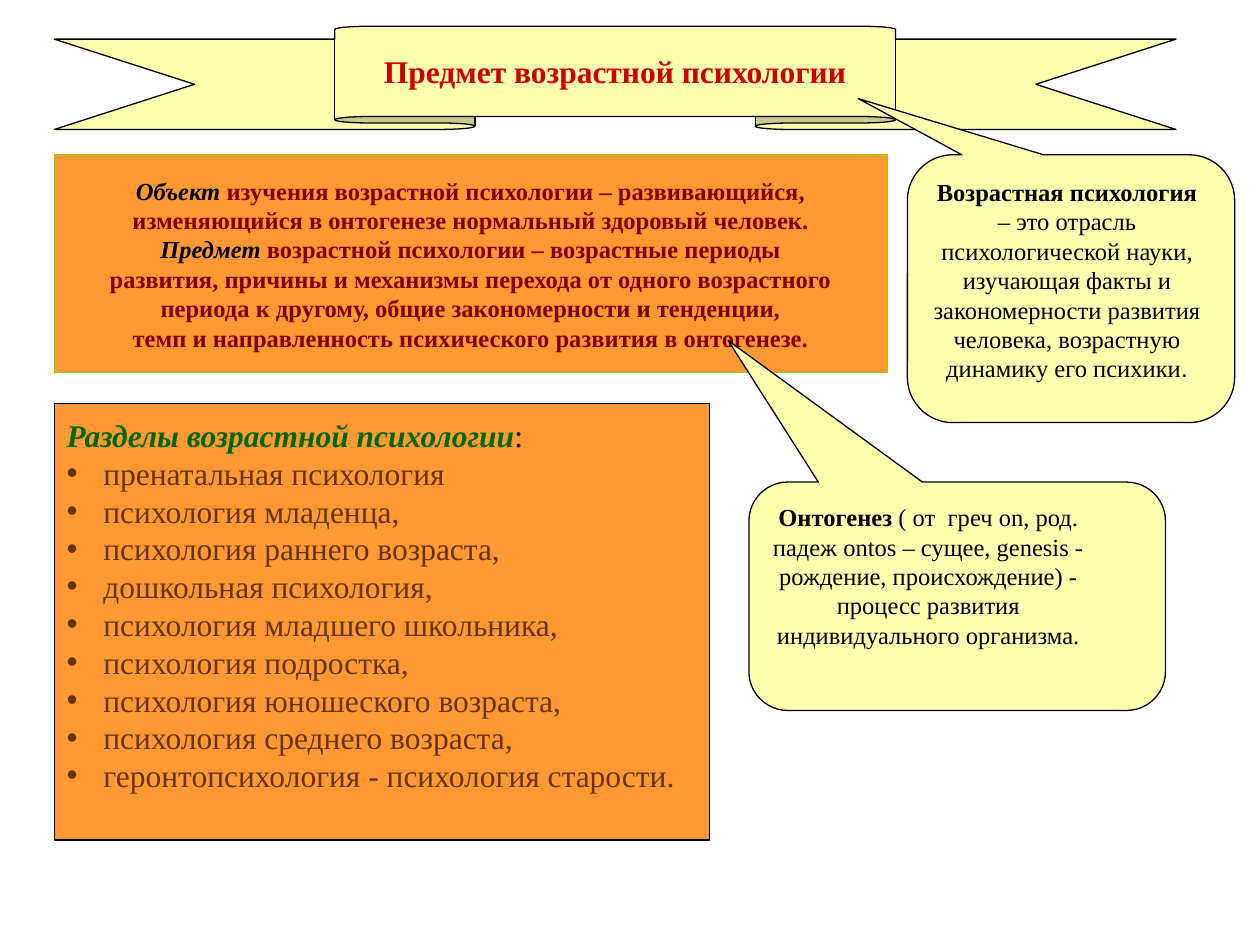
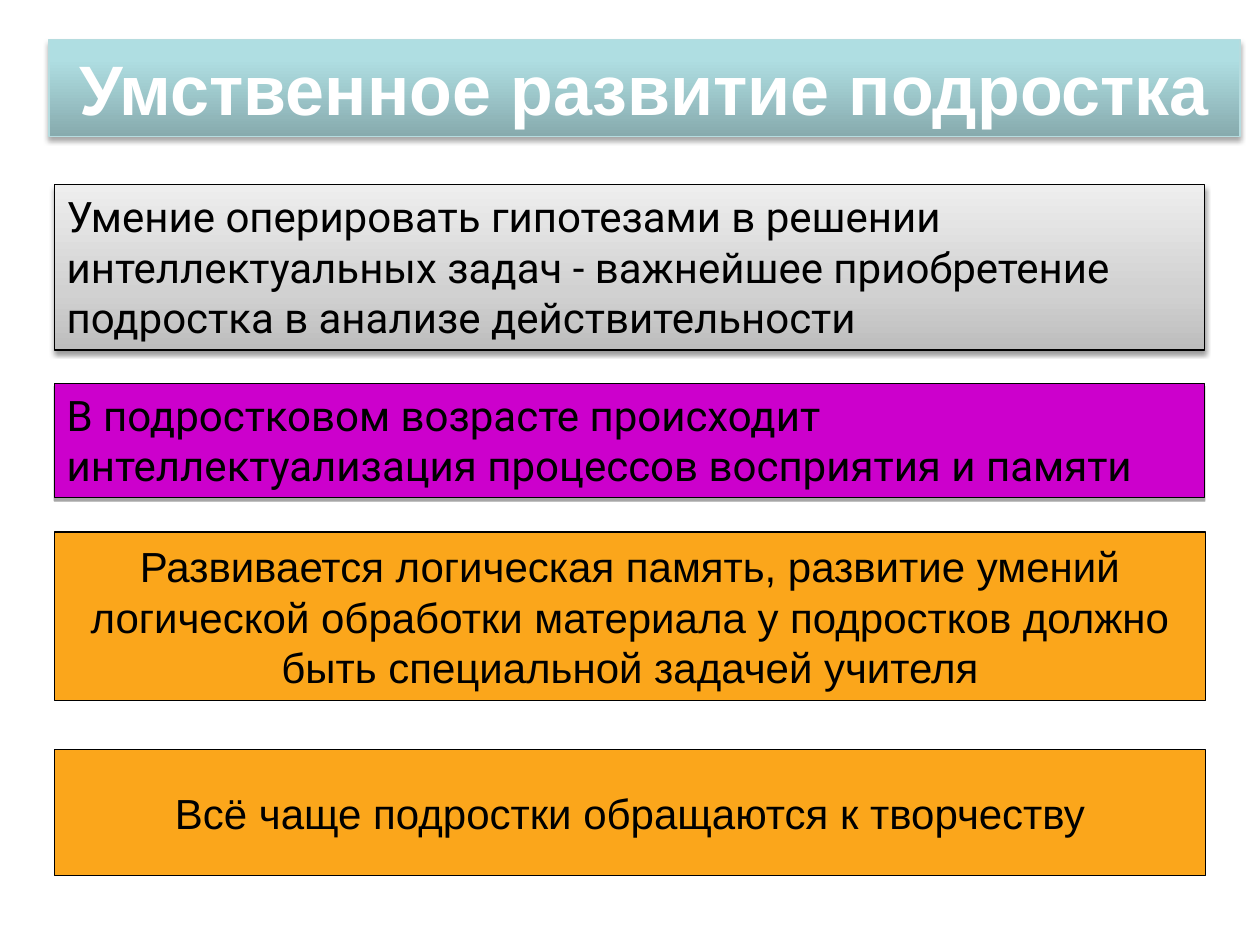
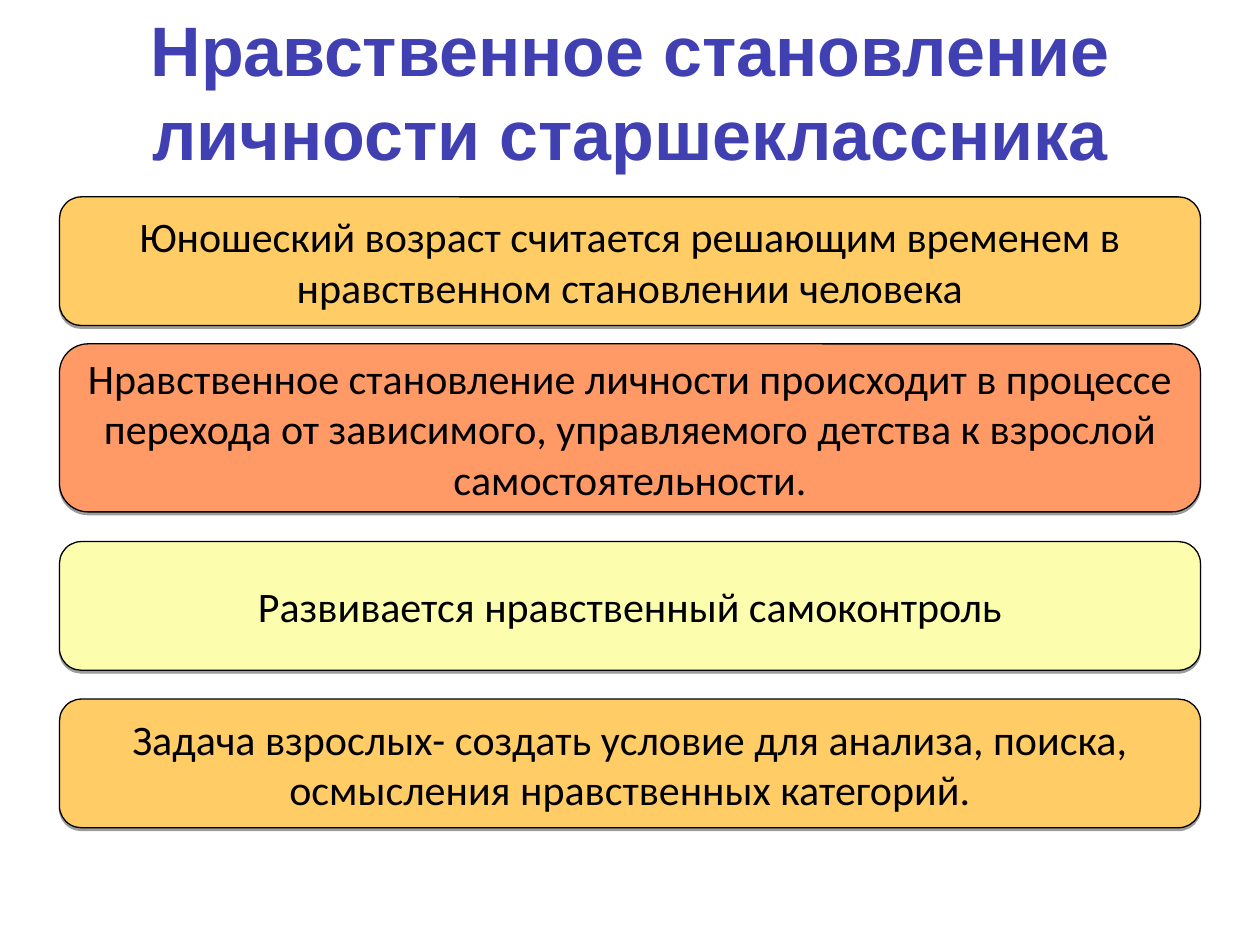
from lxml import etree
from pptx import Presentation
from pptx.dml.color import RGBColor
from pptx.enum import shapes, text
from pptx.oxml import ns
from pptx.util import Pt

BLACK = RGBColor(0x00, 0x00, 0x00)
WHITE = RGBColor(0xFF, 0xFF, 0xFF)
CREAM = RGBColor(0xFC, 0xFE, 0xAE)
ORANGE = RGBColor(0xFF, 0x99, 0x33)
AMBER = RGBColor(0xFB, 0xA6, 0x1B)
SAND = RGBColor(0xFF, 0xCC, 0x66)
CORAL = RGBColor(0xFF, 0x99, 0x66)
PURPLE = RGBColor(0xCC, 0x00, 0xCC)
LIME = RGBColor(0x99, 0xCC, 0x00)
RED = RGBColor(0xCC, 0x00, 0x00)
MAROON = RGBColor(0x80, 0x00, 0x00)
GREEN = RGBColor(0x00, 0x66, 0x00)
BROWN = RGBColor(0x66, 0x33, 0x00)
INDIGO = RGBColor(0x40, 0x40, 0xB3)
PALE_TEAL = RGBColor(0xB6, 0xDC, 0xDF)
TEAL_STOPS = [(0, RGBColor(0x87, 0xAB, 0xAE)), (80, RGBColor(0xAF, 0xDE, 0xE2)),
              (100, RGBColor(0xAF, 0xE0, 0xE4))]
GRAY_STOPS = [(0, RGBColor(0xBD, 0xBD, 0xBD)), (35, RGBColor(0xD1, 0xD1, 0xD1)),
              (100, RGBColor(0xEE, 0xEE, 0xEE))]

SHAPE = shapes.MSO_SHAPE
CENTER, LEFT = text.PP_ALIGN.CENTER, text.PP_ALIGN.LEFT
TOP, MIDDLE = text.MSO_ANCHOR.TOP, text.MSO_ANCHOR.MIDDLE

SERIF = {"name": "Times New Roman", "size": Pt(14), "bold": False, "italic": False}
SERIF_LARGE = SERIF | {"size": Pt(18)}
TITLE = {"name": "Arial", "size": Pt(40), "bold": True}
BODY = {"name": "Arial", "size": Pt(24)}
STRONG = {"bold": True}
TERM = {"bold": True, "italic": True}


def add_child(parent, tag, **attributes):
    values = {key: str(value) for key, value in attributes.items()}
    return etree.SubElement(parent, ns.qn(tag), values)


class Deck:
    def __init__(self):
        self.presentation = Presentation()
        self.presentation.slide_width, self.presentation.slide_height = Pt(720), Pt(540)
        self.slide = None

    def add_slide(self):
        self.slide = self.presentation.slides.add_slide(self.presentation.slide_layouts[6])

    def set_text(self, shape, paragraphs, font, align=CENTER, anchor=MIDDLE, wrap=True,
                 margins=(7.2, 3.6, 7.2, 3.6), bullets_from=None):
        frame = shape.text_frame
        left, top, right, bottom = map(Pt, margins)
        settings = {"word_wrap": wrap, "vertical_anchor": anchor, "margin_left": left,
                    "margin_top": top, "margin_right": right, "margin_bottom": bottom}
        for key, value in settings.items():
            setattr(frame, key, value)
        for index, runs in enumerate(paragraphs):
            paragraph = frame.add_paragraph() if index else frame.paragraphs[0]
            paragraph.alignment = align
            if bullets_from is not None and index >= bullets_from:
                self.bullet(paragraph)
            for content, color, changes in runs:
                run = paragraph.add_run()
                run.text = content
                for key, value in (font | changes).items():
                    setattr(run.font, key, value)
                run.font.color.rgb = color

    def bullet(self, paragraph):
        properties = paragraph._p.get_or_add_pPr()
        properties.set("marL", str(Pt(21)))
        properties.set("indent", str(-Pt(21)))
        add_child(properties, "a:buFont", typeface="Arial")
        add_child(properties, "a:buChar", char="•")

    def gradient(self, shape, stops):
        shape.fill.gradient()
        gradient = shape._element.spPr.find(ns.qn("a:gradFill"))
        for child in list(gradient):
            gradient.remove(child)
        stop_list = add_child(gradient, "a:gsLst")
        for position, color in stops:
            stop = add_child(stop_list, "a:gs", pos=position * 1000)
            add_child(stop, "a:srgbClr", val=color)
        add_child(gradient, "a:lin", ang=270 * 60000, scaled=0)

    def shadow(self, shape, opacity, blur, distance):
        effects = shape._element.spPr.find(ns.qn("a:effectLst"))
        outer = add_child(effects, "a:outerShdw", blurRad=Pt(blur), dist=Pt(distance),
                          dir=90 * 60000, rotWithShape=0)
        color = add_child(outer, "a:srgbClr", val=BLACK)
        add_child(color, "a:alpha", val=opacity * 1000)

    def box(self, kind, place, fill, paragraphs, font, line=BLACK, adjustments=(),
            shadow=None, **layout):
        shape = self.slide.shapes.add_shape(kind, *map(Pt, place))
        for index, value in enumerate(adjustments):
            shape.adjustments[index] = value
        if isinstance(fill, list):
            self.gradient(shape, fill)
        else:
            shape.fill.solid()
            shape.fill.fore_color.rgb = fill
        shape.line.color.rgb = line
        shape.line.width = Pt(0.75)
        shape.shadow.inherit = False
        if shadow:
            self.shadow(shape, *shadow)
        self.set_text(shape, paragraphs, font, **layout)

    def callout(self, place, tail, runs, margins):
        self.box(SHAPE.ROUNDED_RECTANGULAR_CALLOUT, place, CREAM, [runs], SERIF,
                 adjustments=(*tail, 0.17), anchor=TOP, margins=margins)

    def heading(self, place, content, color):
        shape = self.slide.shapes.add_textbox(*map(Pt, place))
        self.set_text(shape, [[(content, color, {})]], TITLE, anchor=TOP)


def plain(*lines, color=BLACK):
    return [[(line, color, {})] for line in lines]


def subject_slide(deck):
    deck.add_slide()
    deck.box(SHAPE.UP_RIBBON, (31, 15, 641, 59), CREAM,
             plain("Предмет возрастной психологии", color=RED), SERIF_LARGE | STRONG,
             adjustments=(0.125, 0.5), wrap=False)
    definitions = [
        [("Объект ", BLACK, TERM),
         ("изучения возрастной психологии – развивающийся,", MAROON, {})],
        *plain("изменяющийся в онтогенезе нормальный здоровый человек.", color=MAROON),
        [("Предмет", BLACK, TERM),
         (" возрастной психологии – возрастные периоды", MAROON, {})],
        *plain("развития, причины и механизмы перехода от одного возрастного",
               "периода к другому, общие закономерности и тенденции,",
               "темп и направленность психического развития в онтогенезе.", color=MAROON),
    ]
    deck.box(SHAPE.RECTANGLE, (31, 88.5, 476, 124.5), ORANGE, definitions,
             SERIF | STRONG, line=LIME, wrap=False)
    branches = plain(
        "пренатальная психология", "психология младенца,", "психология раннего возраста,",
        "дошкольная психология,", "психология младшего школьника,", "психология подростка,",
        "психология юношеского возраста,", "психология среднего возраста,",
        "геронтопсихология - психология старости.", color=BROWN)
    caption = [("Разделы возрастной психологии", GREEN, TERM), (":", BLACK, {})]
    deck.box(SHAPE.RECTANGLE, (31, 230.5, 374.5, 249.5), ORANGE, [caption, *branches],
             SERIF_LARGE, align=LEFT, anchor=TOP, margins=(7.2, 7.2, 7.2, 3.6),
             bullets_from=1)
    deck.callout((428, 275.5, 238, 130.5), (-0.55, -1.12), [
        ("Онтогенез ", BLACK, STRONG),
        ("( от  греч on, род. падеж ontos – сущее, genesis - рождение, происхождение) - "
         "процесс развития индивидуального организма.", BLACK, {})], (4, 5, 37, 3.6))
    deck.callout((518.5, 88.5, 187, 153), (-0.65, -0.71), [
        ("Возрастная психология", BLACK, STRONG),
        (" – это отрасль психологической науки, изучающая факты и закономерности развития "
         "человека, возрастную динамику его психики", BLACK, {}),
        (".", BLACK, {"name": "Arial"})], (6.5, 5, 11, 3.6))


def mental_slide(deck):
    deck.add_slide()
    deck.box(SHAPE.RECTANGLE, (28, 22.5, 680.5, 55.5), TEAL_STOPS,
             plain("Умственное развитие подростка", color=WHITE), TITLE, line=PALE_TEAL,
             shadow=(35, 3.1, 1.8), anchor=TOP)
    panels = [
        (105.5, 94.5, GRAY_STOPS, (38, 3.1, 1.6),
         "Умение оперировать гипотезами в решении интеллектуальных задач - важнейшее "
         "приобретение подростка в анализе действительности"),
        (219, 65.5, PURPLE, (35, 0, 1.8),
         "В подростковом возрасте происходит интеллектуализация процессов восприятия и памяти"),
    ]
    for top, height, fill, shadow, content in panels:
        deck.box(SHAPE.RECTANGLE, (31, top, 657.5, height), fill, plain(content),
                 BODY | {"name": "Roboto"}, shadow=shadow, align=LEFT, anchor=TOP)
    banners = [
        (304, 96.5, ["Развивается логическая память, развитие умений",
                     "логической обработки материала у подростков должно",
                     "быть специальной задачей учителя"]),
        (428.5, 72, ["Всё чаще подростки обращаются к творчеству"]),
    ]
    for top, height, lines in banners:
        deck.box(SHAPE.RECTANGLE, (31, top, 658, height), AMBER, plain(*lines), BODY,
                 wrap=False)


def moral_slide(deck):
    deck.add_slide()
    deck.heading((0, 0, 720, 104.5), "Нравственное становление личности старшеклассника",
                 INDIGO)
    cards = [
        (112.5, 73.5, SAND,
         "Юношеский возраст считается решающим временем в нравственном становлении человека"),
        (196.5, 96, CORAL,
         "Нравственное становление личности происходит в процессе перехода от зависимого, "
         "управляемого детства к взрослой самостоятельности."),
        (309.5, 73.5, CREAM, "Развивается нравственный самоконтроль"),
        (399.5, 73.5, SAND,
         "Задача взрослых- создать условие для анализа, поиска, осмысления нравственных "
         "категорий."),
    ]
    for top, height, fill, content in cards:
        deck.box(SHAPE.ROUNDED_RECTANGLE, (34, top, 652, height), fill, plain(content),
                 BODY | {"name": "Calibri"}, adjustments=(0.17,), shadow=(38, 0, 1.6))


def main():
    deck = Deck()
    for build in (subject_slide, mental_slide, moral_slide):
        build(deck)
    deck.presentation.save("out.pptx")


if __name__ == "__main__":
    main()
